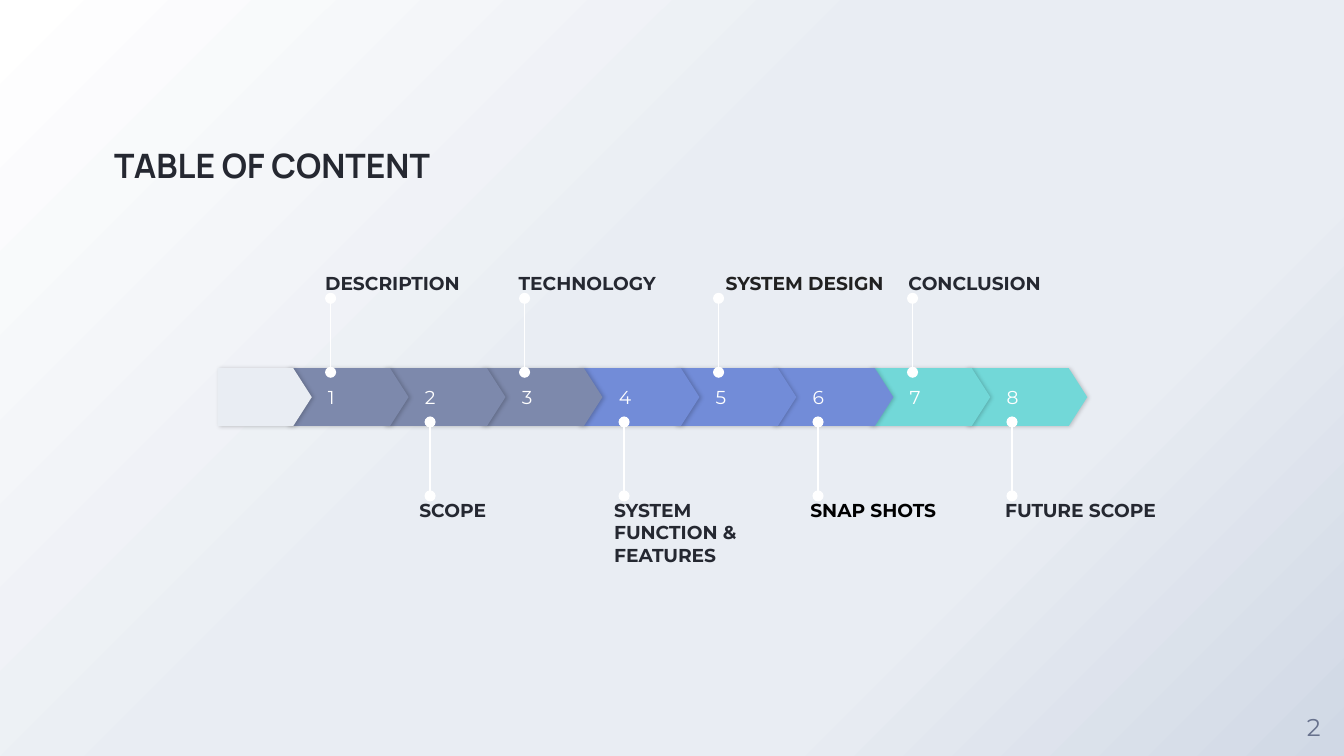
import pptx
import pptx.dml.color
import pptx.enum.shapes
import pptx.enum.text
import pptx.oxml
import pptx.oxml.ns
import pptx.util

Inches = pptx.util.Inches
RGBColor = pptx.dml.color.RGBColor
ANCHOR = pptx.enum.text.MSO_ANCHOR
ALIGN = pptx.enum.text.PP_ALIGN
NAMESPACE = pptx.oxml.ns.nsdecls("a")
qn = pptx.oxml.ns.qn

WHITE = RGBColor(0xFF, 0xFF, 0xFF)
BLACK = RGBColor(0x00, 0x00, 0x00)
INK = RGBColor(0x25, 0x28, 0x31)
CHARCOAL = RGBColor(0x21, 0x21, 0x21)
PALE = RGBColor(0xE9, 0xED, 0xF3)
MIST = RGBColor(0xD0, 0xD8, 0xE5)
SLATE = RGBColor(0x7D, 0x89, 0xAC)
BLUE = RGBColor(0x72, 0x8C, 0xD8)
TEAL = RGBColor(0x72, 0xD8, 0xD8)
PAGE_GREY = RGBColor(0x68, 0x72, 0x8D)


def write(shape, text, size, color, bold=False, font="Montserrat",
          anchor=ANCHOR.TOP, align=ALIGN.LEFT, indent=0):
    frame = shape.text_frame
    frame.word_wrap = True
    frame.margin_left = Inches(indent)
    frame.margin_top = frame.margin_right = frame.margin_bottom = 0
    frame.vertical_anchor = anchor
    frame.text = text
    para = frame.paragraphs[0]
    para.alignment = align
    span = para.runs[0]
    span.font.size = pptx.util.Pt(size)
    span.font.name = font
    span.font.bold = bold
    span.font.color.rgb = color


def add_arrow(left, width, color):
    arrow = page.shapes.add_shape(
        pptx.enum.shapes.MSO_SHAPE.PENTAGON,
        Inches(left), Inches(2.74), Inches(width), Inches(0.43))
    arrow.adjustments[0] = 0.32
    arrow.fill.solid()
    arrow.fill.fore_color.rgb = color
    arrow.line.fill.background()
    arrow.shadow.inherit = False
    effects = arrow.element.spPr.find(qn("a:effectLst"))
    effects.append(pptx.oxml.parse_xml(
        f'<a:outerShdw {NAMESPACE} blurRad="27940" dist="10160" dir="0">'
        '<a:srgbClr val="000000"><a:alpha val="20000"/></a:srgbClr></a:outerShdw>'))
    return arrow


# Widescreen page, 16 to 9
deck = pptx.Presentation()
deck.slide_width = Inches(10)
deck.slide_height = deck.slide_width * 9 // 16
page = deck.slides.add_slide(deck.slide_layouts[6])

# Diagonal background gradient
background = page.background.fill
background.gradient()
background.gradient_angle = 315
stops = next(page.element.iter(qn("a:gsLst")))
for stop in list(stops):
    stops.remove(stop)
for percent, color in [(0, WHITE), (44, PALE), (72, PALE), (100, MIST)]:
    stops.append(pptx.oxml.parse_xml(
        f'<a:gs {NAMESPACE} pos="{percent * 1000}"><a:srgbClr val="{color}"/></a:gs>'))

# Title and page number
title = page.shapes.add_textbox(Inches(0.85), Inches(0.44), Inches(3.92), Inches(0.94))
write(title, "TABLE OF CONTENT", 18, INK, True, "Manrope", ANCHOR.BOTTOM)
number = page.shapes.add_textbox(Inches(9.55), Inches(5.18), Inches(0.45), Inches(0.45))
write(number, "2", 13, PAGE_GREY, anchor=ANCHOR.MIDDLE, align=ALIGN.CENTER)

# Arrow band, last step first so that each tip overlaps the next step
step_colors = [SLATE] * 3 + [BLUE] * 3 + [TEAL] * 2
for index in reversed(range(8)):
    arrow = add_arrow(2.14 + 5.05 * index / 7, 0.9, step_colors[index])
    write(arrow, str(index + 1), 10, WHITE, anchor=ANCHOR.MIDDLE, indent=0.3)
add_arrow(1.62, 0.7, PALE)

# Labels above and below the band, each with a round-ended pin
upper = [("DESCRIPTION", 2.42, INK), ("TECHNOLOGY", 3.86, INK),
         ("SYSTEM DESIGN", 5.4, CHARCOAL), ("CONCLUSION", 6.76, INK)]
lower = [("SCOPE", 3.12, INK), ("SYSTEM FUNCTION & FEATURES", 4.57, INK),
         ("SNAP SHOTS", 6.03, BLACK), ("FUTURE SCOPE", 7.48, INK)]
rows = [(upper, 2.46, 2.77, 1.61, ANCHOR.BOTTOM),
        (lower, 3.2, 3.69, 3.71, ANCHOR.TOP)]
for labels, first_pin, pin_bottom, label_top, anchor in rows:
    for index, (text, left, color) in enumerate(labels):
        pin_x = Inches(first_pin + 4.33 * index / 3)
        pin = page.shapes.add_connector(
            pptx.enum.shapes.MSO_CONNECTOR.STRAIGHT,
            pin_x, Inches(pin_bottom), pin_x, Inches(pin_bottom - 0.55))
        pin.line.color.rgb = WHITE
        pin.line.width = pptx.util.Pt(0.75)
        outline = pin.element.spPr.find(qn("a:ln"))
        for end in ("headEnd", "tailEnd"):
            outline.append(pptx.oxml.parse_xml(f'<a:{end} {NAMESPACE} type="oval"/>'))
        pin.element.spPr.append(pptx.oxml.parse_xml(f"<a:effectLst {NAMESPACE}/>"))

        label = page.shapes.add_textbox(
            Inches(left), Inches(label_top), Inches(1.37), Inches(0.58))
        write(label, text, 10, color, True, anchor=anchor)

deck.save("out.pptx")
